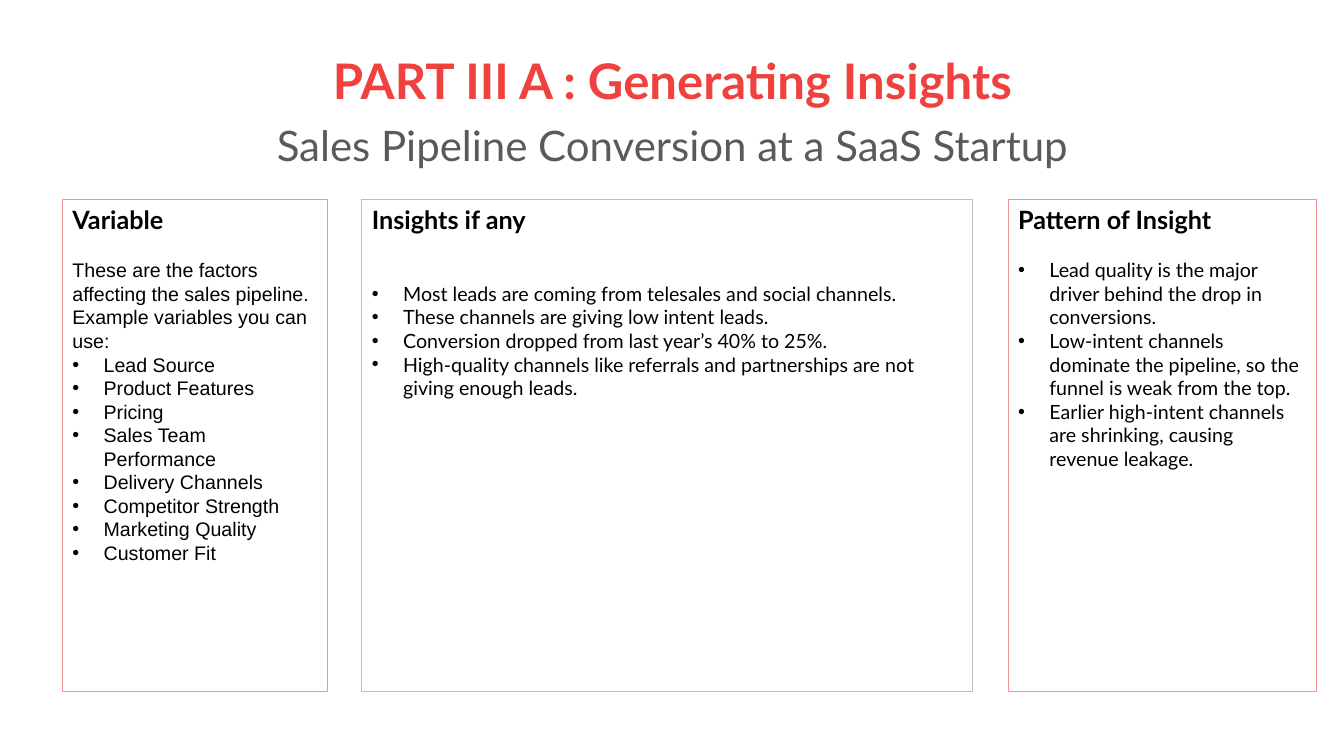
from lxml.etree import SubElement
from pptx import Presentation
from pptx.dml.color import RGBColor
from pptx.enum.shapes import MSO_SHAPE
from pptx.enum.text import MSO_ANCHOR, PP_ALIGN
from pptx.oxml.ns import qn
from pptx.util import Inches, Pt

COLORS = {"red": "EF413D", "gray": "5A5A5A", "black": "000000",
          "pink": "F69492", "silver": "BFBFBF"}
LINE = 16.8  # height of a body line in points


def write(para, text, size, color, face="Lato", bold=False):
    para.text = text
    para.font.name = face
    para.font.size = Pt(size)
    para.font.bold = bold
    para.font.color.rgb = RGBColor.from_string(COLORS[color])


def add_bullet(para):
    props = para._p.get_or_add_pPr()
    props.set("marL", str(Inches(0.31)))
    props.set("indent", str(-Inches(0.31)))
    font = SubElement(props, qn("a:buFont"))
    font.set("typeface", "Arial")
    SubElement(props, qn("a:buChar")).set("char", "•")


deck = Presentation()
deck.slide_width, deck.slide_height = Inches(13.33), Inches(7.5)
slide = deck.slides.add_slide(deck.slide_layouts[6])

# Title and subtitle
title = slide.shapes.add_textbox(Inches(0.92), Inches(0.4), Inches(11.5), Inches(1.45))
frame = title.text_frame
frame.word_wrap = True
frame.vertical_anchor = MSO_ANCHOR.MIDDLE
head, sub = frame.paragraphs[0], frame.add_paragraph()
for para in (head, sub):
    para.alignment = PP_ALIGN.CENTER
    para.line_spacing = 0.9
sub.space_before = Pt(10.8)
write(head, "PART III A : Generating Insights", 35, "red", bold=True)
write(sub, "Sales Pipeline Conversion at a SaaS Startup", 30, "gray")

# Columns: left, width, border, face, blank lines, heading, intro, bullets
columns = [
    (0.62, 2.63, "pink", "Arial", 1, "Variable",
     ["These are the factors affecting the sales pipeline.\vExample variables you can use:"],
     ["Lead Source", "Product Features", "Pricing", "Sales Team Performance",
      "Delivery Channels", "Competitor Strength", "Marketing Quality", "Customer Fit"]),
    (3.59, 6.06, "silver", "Lato", 2, "Insights if any", [],
     ["Most leads are coming from telesales and social channels.",
      "These channels are giving low intent leads.",
      "Conversion dropped from last year’s 40% to 25%.",
      "High-quality channels like referrals and partnerships are not giving enough leads."]),
    (10, 3.06, "pink", "Lato", 1, "Pattern of Insight", [],
     ["Lead quality is the major driver behind the drop in conversions.",
      "Low-intent channels dominate the pipeline, so the funnel is weak from the top.",
      "Earlier high-intent channels are shrinking, causing revenue leakage."]),
]

for left, width, border, face, gap, name, intro, points in columns:
    box = slide.shapes.add_shape(MSO_SHAPE.RECTANGLE, Inches(left), Inches(1.98),
                                 Inches(width), Inches(4.88))
    box.shadow.inherit = False
    box.fill.background()
    box.line.color.rgb = RGBColor.from_string(COLORS[border])
    box.line.width = Pt(0.75)
    frame = box.text_frame
    frame.word_wrap = True
    frame.vertical_anchor = MSO_ANCHOR.TOP

    # Heading
    head = frame.paragraphs[0]
    head.alignment = PP_ALIGN.LEFT
    head.space_after = Pt(gap * LINE)
    write(head, name, 18, "black", bold=True)

    # Intro and bullets
    for text in intro + points:
        para = frame.add_paragraph()
        para.alignment = PP_ALIGN.LEFT
        para.line_spacing = Pt(LINE)
        if text in points:
            add_bullet(para)
        write(para, text, 14, "black", face)

deck.save("out.pptx")
